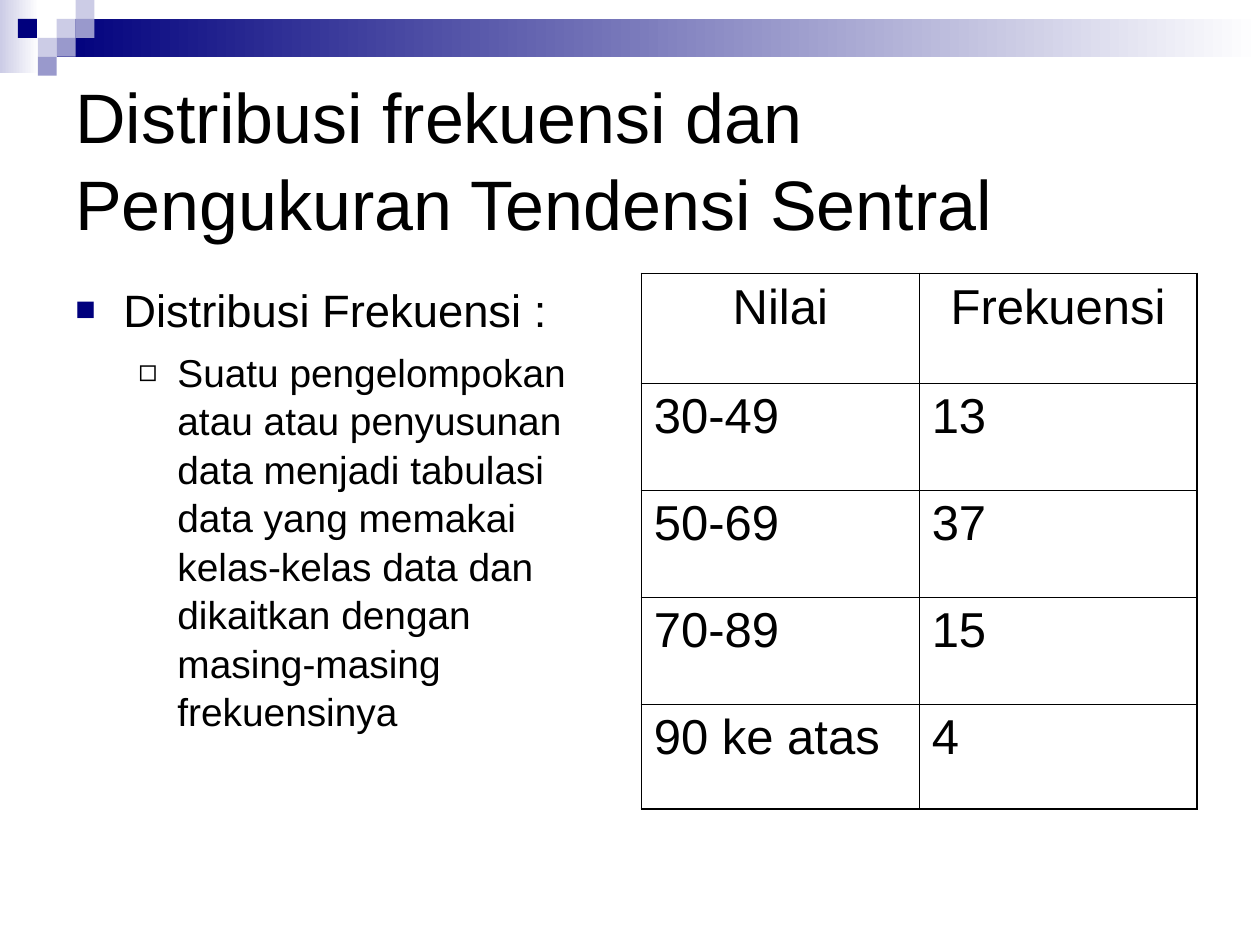
from lxml.etree import SubElement as Sub
from pptx import Presentation
from pptx.dml.color import RGBColor as RGB
from pptx.enum.shapes import MSO_SHAPE as Shape
from pptx.enum.text import MSO_ANCHOR as Anchor, PP_ALIGN as Align
from pptx.oxml.ns import qn
from pptx.util import Inches, Pt

NAVY = RGB(0x00, 0x00, 0x7D)
MID = RGB(0x99, 0x99, 0xCC)
PALE = RGB(0xCC, 0xCC, 0xE6)
WHITE = RGB(0xFF, 0xFF, 0xFF)
BLACK = RGB(0x00, 0x00, 0x00)
FONT = "Arial"
WIDE, HIGH = 10, 7.5
UNIT = 0.15
EDGE, GAP = 0.05 * WIDE, 0.18
HALF = (WIDE - 2 * EDGE - GAP) / 2
TOP, DEEP = 2.17, 4.25
THICK, THIN = 1.08, 0.45
TILES = [(3, 1, PALE), (4, 0, PALE), (4, 1, MID), (2, 2, PALE),
         (0.95, 1, NAVY), (3, 2, MID), (2, 3, MID)]
TITLE = "Distribusi frekuensi dan Pengukuran Tendensi Sentral"
HEAD = "Distribusi Frekuensi :"
BODY = ("Suatu pengelompokan atau atau penyusunan data menjadi tabulasi "
        "data yang memakai kelas-kelas data dan dikaitkan dengan "
        "masing-masing frekuensinya")
ROWS = [("Nilai", "Frekuensi"), ("30-49", "13"), ("50-69", "37"),
        ("70-89", "15"), ("90 ke atas", "4")]
TALL = [0.87, 0.85, 0.85, 0.85, 0.83]


def add_box(slide, x, y, w, h, color, fade=False):
    """Draw a borderless rectangle, plain or fading to white."""
    box = slide.shapes.add_shape(Shape.RECTANGLE, *map(Inches, (x, y, w, h)))
    box.shadow.inherit = False
    box.line.fill.background()
    if fade:
        box.fill.gradient()
        box.fill.gradient_angle = 0
        for stop, tone, spot in zip(box.fill.gradient_stops, (color, WHITE), (0, 1)):
            stop.color.rgb = tone
            stop.position = spot
    else:
        box.fill.solid()
        box.fill.fore_color.rgb = color


def add_frame(slide, x, y, w, h):
    """Add a wrapping text box and return its frame."""
    frame = slide.shapes.add_textbox(*map(Inches, (x, y, w, h))).text_frame
    frame.word_wrap = True
    return frame


def set_text(para, text, size, before=0):
    """Fill a paragraph with black text."""
    para.text = text
    para.font.name, para.font.size = FONT, Pt(size)
    para.font.color.rgb = BLACK
    para.space_before = Pt(before)


def add_mark(para, char, color, share, left, hang):
    """Give a paragraph a coloured bullet and a hanging indent."""
    props = para._p.get_or_add_pPr()
    props.set("marL", str(Inches(left)))
    props.set("indent", str(-Inches(hang)))
    Sub(Sub(props, qn("a:buClr")), qn("a:srgbClr"), val=str(color))
    Sub(props, qn("a:buSzPct"), val=str(share * 1000))
    Sub(props, qn("a:buFont"), typeface=FONT)
    Sub(props, qn("a:buChar"), char=char)


def set_edge(cell, side, width):
    """Draw one black cell border."""
    props = cell._tc.get_or_add_tcPr()
    line = Sub(props, qn("a:" + side), w=str(Pt(width)))
    Sub(Sub(line, qn("a:solidFill")), qn("a:srgbClr"), val=str(BLACK))


def add_grid(slide):
    """Add the frequency table with a thicker outer border."""
    last, end = len(ROWS) - 1, len(ROWS[0]) - 1
    grid = slide.shapes.add_table(
        last + 1, end + 1, Inches(EDGE + HALF + GAP), Inches(TOP),
        Inches(HALF), Inches(DEEP)).table
    grid.first_row = grid.horz_banding = False
    for r, row in enumerate(ROWS):
        grid.rows[r].height = Inches(TALL[r])
        for c, text in enumerate(row):
            cell = grid.cell(r, c)
            para = cell.text_frame.paragraphs[0]
            set_text(para, text, 28, 7)
            para.alignment = Align.LEFT if r else Align.CENTER
            outer = {"lnL": c == 0, "lnR": c == end, "lnT": r == 0, "lnB": r == last}
            for side, rim in outer.items():
                set_edge(cell, side, THICK if rim else THIN)
            cell.fill.background()


def add_band(slide):
    """Draw the faded bands and the mosaic of tiles at the top."""
    add_box(slide, 0, 0, 0.31, 0.58, PALE, True)
    add_box(slide, 3 * UNIT, UNIT, WIDE - 3 * UNIT, 2 * UNIT, NAVY, True)
    for col, row, color in TILES:
        add_box(slide, col * UNIT, row * UNIT, UNIT, UNIT, color)


def add_words(slide):
    """Add the title and the bulleted definition."""
    frame = add_frame(slide, EDGE, 0.5, WIDE - 2 * EDGE, 0.2 * HIGH)
    frame.vertical_anchor = Anchor.MIDDLE
    title = frame.paragraphs[0]
    set_text(title, TITLE, 40)
    frame = add_frame(slide, EDGE, TOP, HALF, DEEP)
    head, body = frame.paragraphs[0], frame.add_paragraph()
    set_text(head, HEAD, 25.9, 7)
    set_text(body, BODY, 22.2, 6)
    body.level = 1
    for para in (title, head, body):
        para.line_spacing = 1.04
    add_mark(head, "■", NAVY, 75, 0.38, 0.38)
    add_mark(body, "◻", BLACK, 80, 0.81, 0.31)


def main():
    """Build and save the slide."""
    deck = Presentation()
    deck.slide_width, deck.slide_height = Inches(WIDE), Inches(HIGH)
    slide = deck.slides.add_slide(deck.slide_layouts[6])
    add_band(slide)
    add_words(slide)
    add_grid(slide)
    deck.save("out.pptx")


if __name__ == "__main__":
    main()
